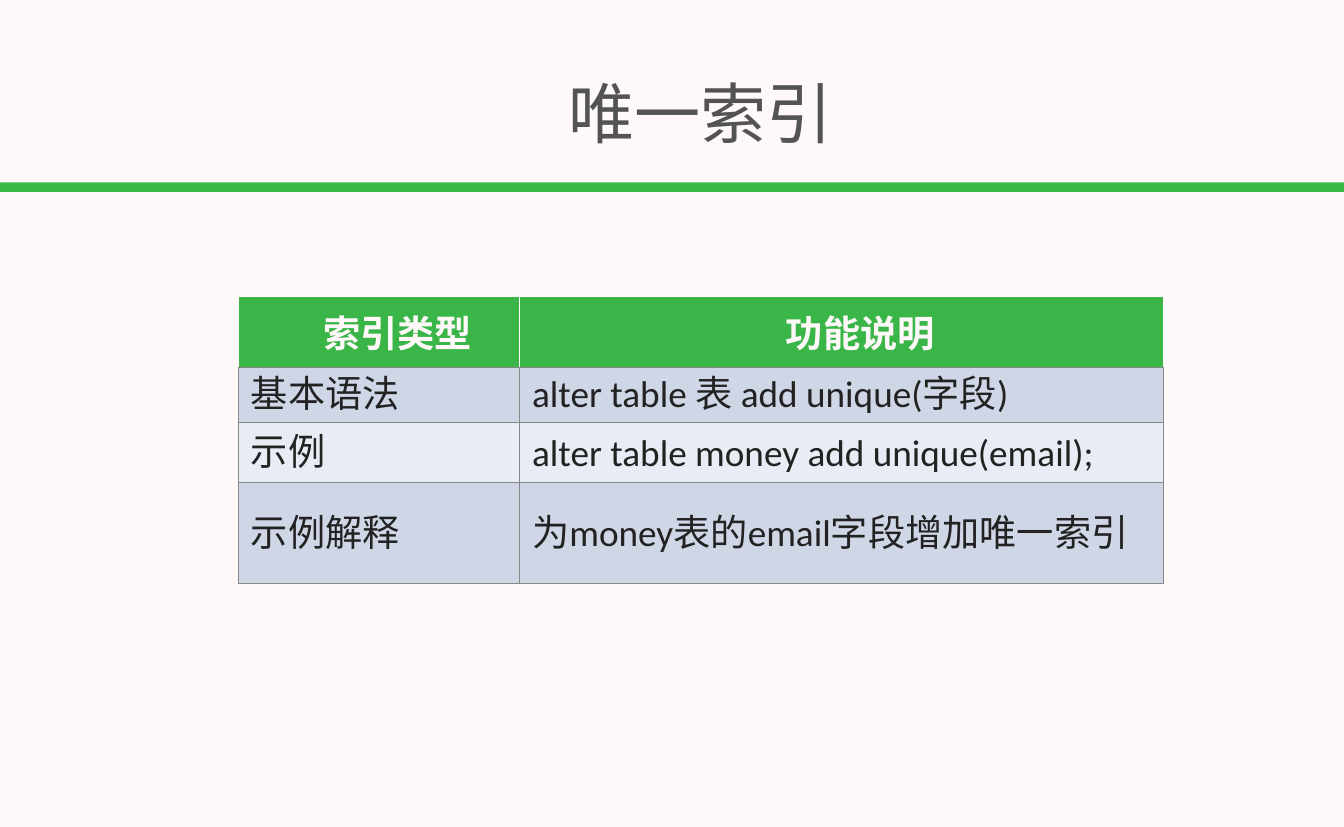
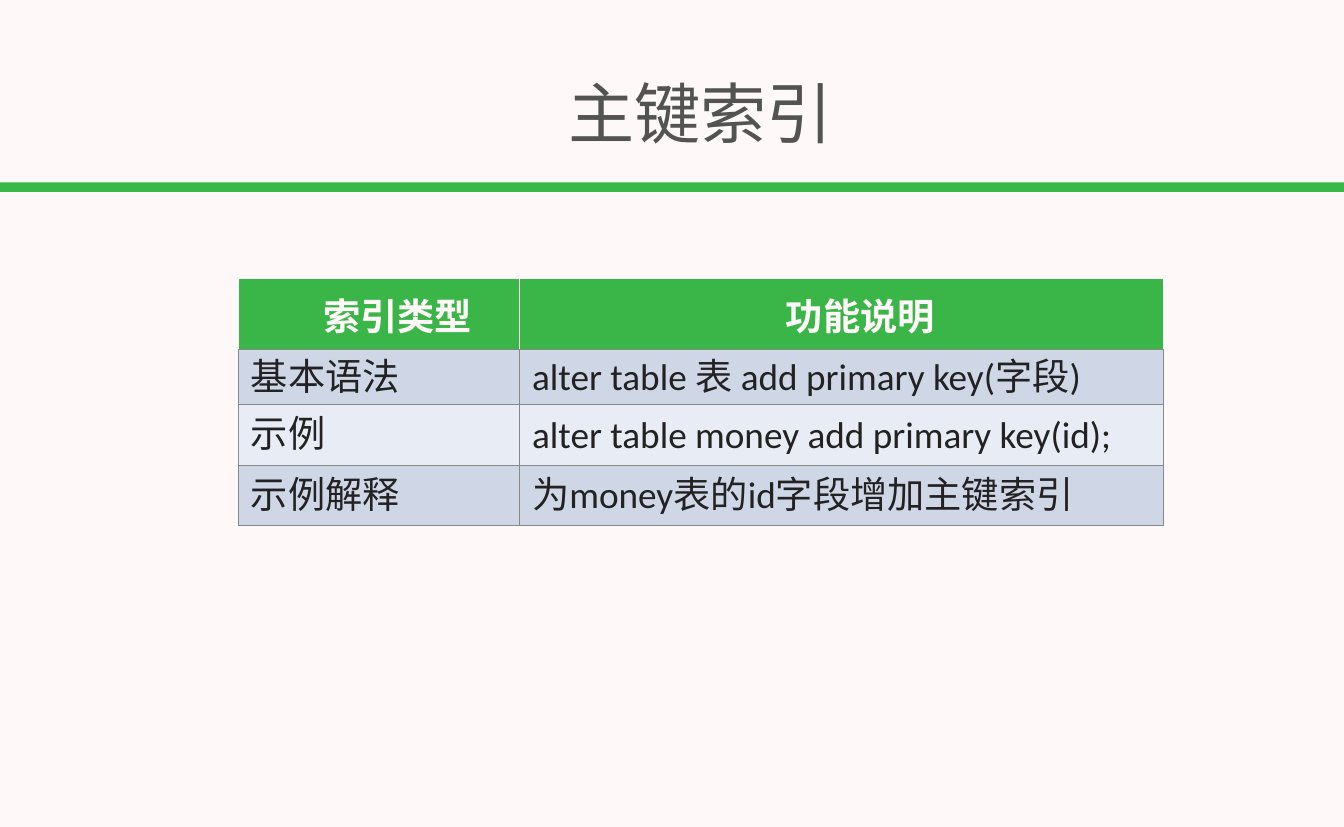
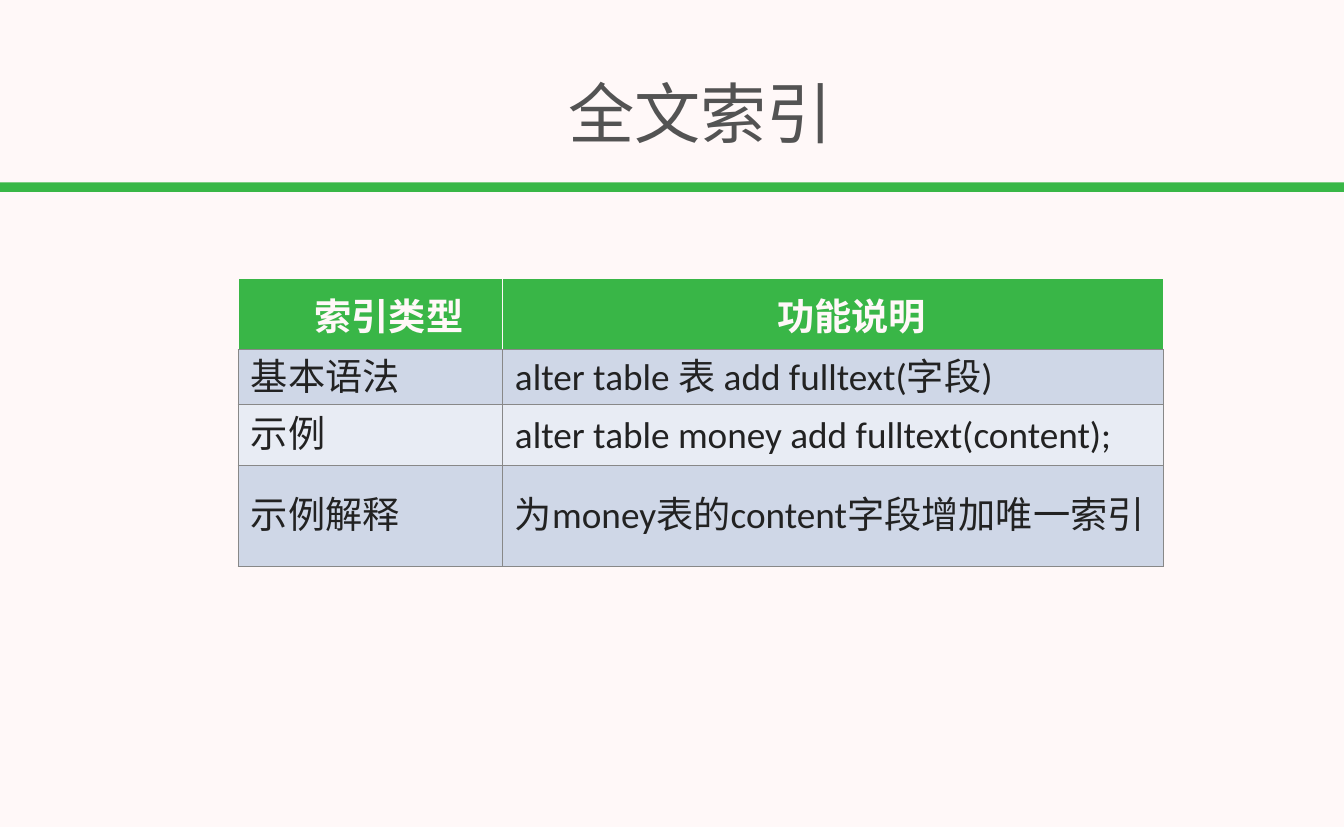
from lxml import etree
from pptx import Presentation, util as u
from pptx.dml.color import RGBColor
from pptx.enum import shapes, text
from pptx.oxml import ns

WIDE, HIGH = u.Inches(18.06), u.Inches(11.11)
FONT = "Calibri"
PALE, GREEN, GREY, INK, EDGE = "FFF8F8", "39B747", "535353", "222222", "888888"
HEAD, BANDS = "39B647", ("CFD7E7", "E8ECF4")
ROWS = (95, 74, 81, 81)
LABELS = ("基本语法", "示例", "示例解释")
SLIDES = [
    ("唯一索引", 35.82, 30.39, (
        "alter table 表 add unique(字段)",
        "alter table money add unique(email);",
        "为money表的email字段增加唯一索引")),
    ("主键索引", 33.66, 30.39, (
        "alter table 表 add primary key(字段)",
        "alter table money add primary key(id);",
        "为money表的id字段增加主键索引")),
    ("全文索引", 33.66, 28.54, (
        "alter table 表 add fulltext(字段)",
        "alter table money add fulltext(content);",
        "为money表的content字段增加唯一索引")),
]


def color(code):
    """Turn a hex string into a colour."""
    return RGBColor.from_string(code)


def area(x, y, w, h):
    """Turn percentages of the slide into a box."""
    return [int(side * share / 100)
            for side, share in zip((WIDE, HIGH) * 2, (x, y, w, h))]


def paint(fill, code):
    """Make a fill solid."""
    fill.solid()
    fill.fore_color.rgb = color(code)


def style(para, size, code, bold=False):
    """Format the runs of a paragraph."""
    for run in para.runs:
        font = run.font
        font.name, font.size, font.bold = FONT, u.Pt(size), bold
        font.color.rgb = color(code)


def frame(cell, codes):
    """Draw the left, right, top and bottom borders of a cell."""
    props = cell._tc.get_or_add_tcPr()
    for spot, (side, code) in enumerate(zip("LRTB", codes)):
        line = etree.Element(ns.qn("a:ln" + side), w=str(u.Pt(1)))
        solid = etree.SubElement(line, ns.qn("a:solidFill"))
        etree.SubElement(solid, ns.qn("a:srgbClr"), val=code)
        props.insert(spot, line)


def pad(cell, side, edge):
    """Set the margins of a cell and centre it vertically."""
    cell.margin_left = cell.margin_right = u.Inches(side)
    cell.margin_top = cell.margin_bottom = u.Inches(edge)
    cell.vertical_anchor = text.MSO_ANCHOR.MIDDLE


def top(cell, words):
    """Fill a header cell."""
    cell.text = words
    pad(cell, 0, 0)
    para = cell.text_frame.paragraphs[0]
    para.alignment = text.PP_ALIGN.CENTER
    para._p.get_or_add_pPr().set("indent", str(u.Inches(0.5)))
    style(para, 36, PALE, True)
    paint(cell.fill, HEAD)
    frame(cell, (PALE, PALE, PALE, EDGE))


def body(cell, words, band):
    """Fill a body cell."""
    cell.text = words
    pad(cell, 0.17, 0.04)
    para = cell.text_frame.paragraphs[0]
    para.line_spacing = u.Pt(46)
    style(para, 36, INK)
    paint(cell.fill, band)
    frame(cell, [EDGE] * 4)


def grid(slide, box, split, notes):
    """Place the two-column table in its box."""
    table = slide.shapes.add_table(len(ROWS), 2, *box).table
    for col, share in zip(table.columns, (split, 100 - split)):
        col.width = int(box[2] * share / 100)
    for row, share in zip(table.rows, ROWS):
        row.height = int(box[3] * share / sum(ROWS))
    for col, words in enumerate(("索引类型", "功能说明")):
        top(table.cell(0, col), words)
    for row, pair in enumerate(zip(LABELS, notes), 1):
        for col, words in enumerate(pair):
            body(table.cell(row, col), words, BANDS[(row - 1) % 2])


def head(slide, box, words):
    """Place the title in its box."""
    title = slide.shapes.title
    title.left, title.top, title.width, title.height = box
    area = title.text_frame
    area.text = words
    area.auto_size = text.MSO_AUTO_SIZE.NONE
    area.vertical_anchor = text.MSO_ANCHOR.MIDDLE
    area.margin_left = area.margin_right = u.Inches(0.05)
    area.margin_top = area.margin_bottom = u.Inches(0.05)
    para = area.paragraphs[0]
    para.alignment = text.PP_ALIGN.CENTER
    style(para, 64, GREY)


def theme(deck, slide, box):
    """Give the master its background and green band."""
    master = deck.slide_master
    paint(master.background.fill, PALE)
    bar = slide.shapes.add_shape(shapes.MSO_SHAPE.RECTANGLE, *box)
    bar.shadow.inherit = False
    paint(bar.fill, GREEN)
    bar.line.fill.background()
    master.shapes.element.insert(2, bar.element)


def build():
    """Build the deck and save it."""
    deck = Presentation()
    deck.slide_width, deck.slide_height = WIDE, HIGH
    for name, start, split, notes in SLIDES:
        slide = deck.slides.add_slide(deck.slide_layouts[5])
        head(slide, area(2.38, 7.11, 99.5, 12.78), name)
        grid(slide, area(17.72, start, 68.88, 29.88), split, notes)
    theme(deck, deck.slides[0], area(0, 22.05, 100, 1.17))
    deck.save("out.pptx")


build()
